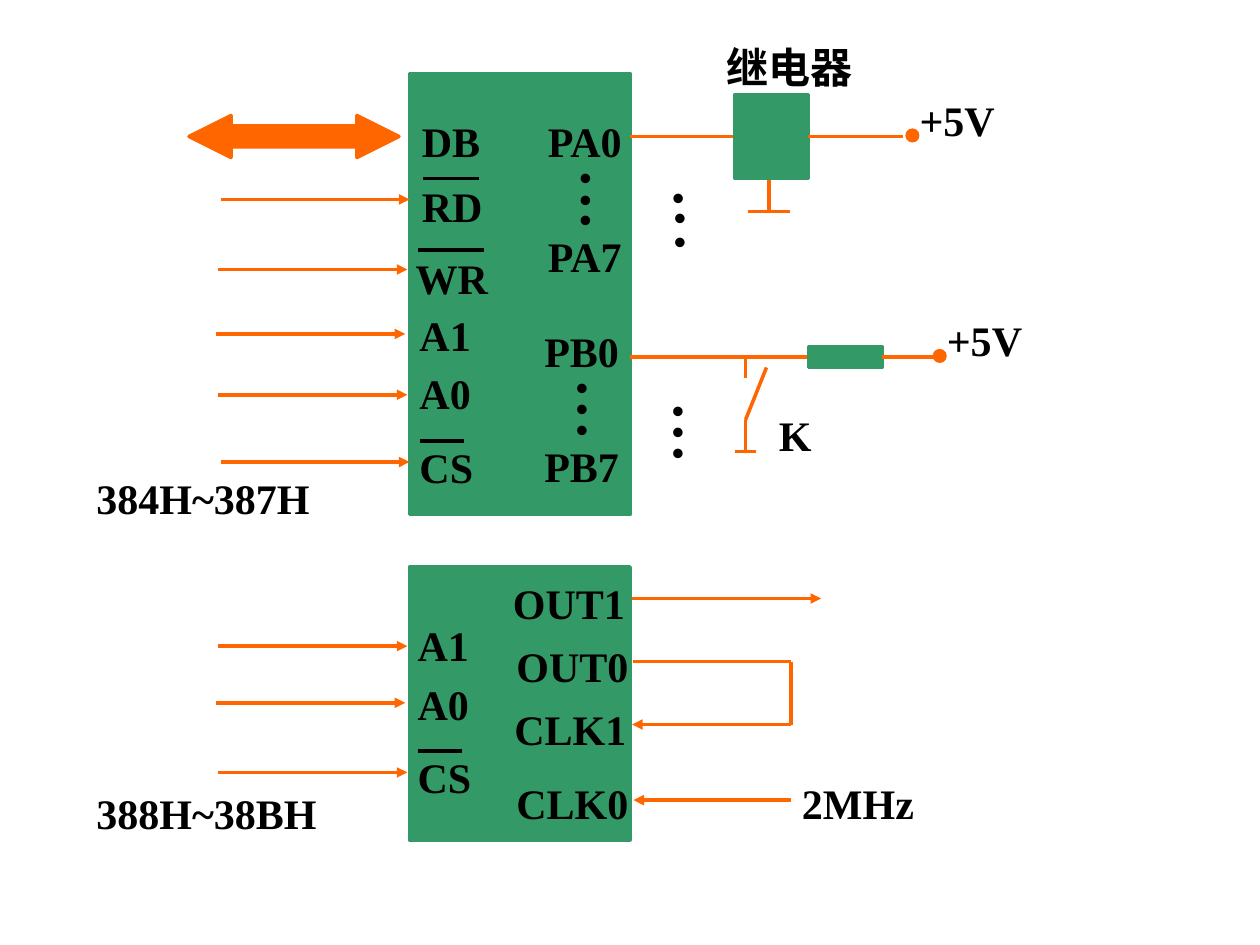
from lxml import etree
from pptx import Presentation
from pptx.dml.color import RGBColor
from pptx.enum.shapes import MSO_CONNECTOR, MSO_SHAPE
from pptx.oxml.ns import qn
from pptx.util import Pt

RECTANGLE = MSO_SHAPE.RECTANGLE
OVAL = MSO_SHAPE.OVAL
DOUBLE_ARROW = MSO_SHAPE.LEFT_RIGHT_ARROW
STRAIGHT = MSO_CONNECTOR.STRAIGHT

GREEN = "339966"
ORANGE = "FF6600"
BLACK = "000000"


def color(value):
    return RGBColor.from_string(value)


class Diagram:
    font_name = "Times New Roman"
    line_width = 2
    label_size = 24
    dot_size = 20

    def __init__(self, slide):
        self.slide = slide

    def block(self, kind, left, top, width, height, fill):
        shape = self.slide.shapes.add_shape(
            kind, Pt(left), Pt(top), Pt(width), Pt(height))
        shape.shadow.inherit = False
        shape.fill.solid()
        shape.fill.fore_color.rgb = color(fill)
        shape.line.color.rgb = color(fill)
        shape.line.width = Pt(self.line_width)
        return shape

    def line(self, x1, y1, x2, y2, stroke=ORANGE, arrow=False):
        connector = self.slide.shapes.add_connector(
            STRAIGHT, Pt(x1), Pt(y1), Pt(x2), Pt(y2))
        connector.line.color.rgb = color(stroke)
        connector.line.width = Pt(self.line_width)
        if arrow:
            outline = connector.line._get_or_add_ln()
            etree.SubElement(outline, qn("a:tailEnd"), type="triangle")
        etree.SubElement(connector._element.spPr, qn("a:effectLst"))

    def label(self, text, left, top, width=66, height=36, size=label_size):
        box = self.slide.shapes.add_textbox(
            Pt(left), Pt(top), Pt(width), Pt(height))
        frame = box.text_frame
        frame.word_wrap = True
        frame.margin_top = Pt(6)
        frame.margin_bottom = Pt(1)
        run = frame.paragraphs[0].add_run()
        run.text = text
        run.font.name = self.font_name
        run.font.size = Pt(size)
        run.font.bold = True
        run.font.color.rgb = color(BLACK)

    def dots(self, positions):
        for left, top in positions:
            self.label("•", left, top, 30, 31, self.dot_size)


def main():
    presentation = Presentation()
    presentation.slide_width = Pt(720)
    presentation.slide_height = Pt(540)
    slide = presentation.slides.add_slide(presentation.slide_layouts[6])
    diagram = Diagram(slide)

    # Parallel port chip and timer chip
    diagram.block(RECTANGLE, 234, 42, 126, 252, GREEN)
    diagram.block(RECTANGLE, 234, 324, 126, 156, GREEN)

    # Pin names
    pins = [
        ("DB", 234, 60), ("RD", 234, 97.2), ("WR", 230.4, 138.2),
        ("A1", 232.6, 170.6), ("A0", 232.6, 203.8), ("CS", 232.6, 246.2),
        ("PA0", 306, 60), ("PA7", 306, 126),
        ("PB0", 304, 180), ("PB7", 304, 246),
        ("A1", 231.6, 348), ("A0", 231.6, 381.6), ("CS", 231.6, 423.6),
    ]
    for text, left, top in pins:
        diagram.label(text, left, top)
    timer_pins = [("OUT1", 286, 324), ("OUT0", 288, 360),
                  ("CLK1", 286.8, 396), ("CLK0", 288, 438)]
    for text, left, top in timer_pins:
        diagram.label(text, left, top, 84)

    # Bars over active-low pins
    for left, y, width in [(242, 102, 32), (238.8, 142.8, 38),
                           (239.8, 252, 25.2), (239, 429.2, 25.2)]:
        diagram.line(left, y, left + width, y, BLACK)

    # Ellipses between first and last port bits
    diagram.dots([(324, 82.8), (324, 95.2), (324, 106.8)])
    diagram.dots([(322, 203), (322, 214.8), (322, 226.8)])
    diagram.dots([(377, 94.4), (378, 106), (378, 119.6)])
    diagram.dots([(376.8, 216), (376.8, 228), (376.8, 240)])

    # Data bus and input signals
    bus = diagram.block(DOUBLE_ARROW, 108, 66, 120, 24, ORANGE)
    bus.adjustments[0] = 0.5
    bus.adjustments[1] = 1
    for left, y in [(126, 114), (124.8, 154), (123.6, 190.8),
                    (124.8, 225.6), (126, 264),
                    (124.8, 369.2), (123.6, 401.6), (124.8, 441.4)]:
        diagram.line(left, y, left + 108, y, arrow=True)
    diagram.label("384H~387H", 48, 264, 150)
    diagram.label("388H~38BH", 48, 444, 150)

    # Relay circuit on PA0
    diagram.line(360, 78, 420, 78)
    diagram.block(RECTANGLE, 420, 54, 42, 48, GREEN)
    diagram.line(439.4, 103, 439.4, 121)
    diagram.line(427.6, 121, 451.4, 121)
    diagram.line(462, 78, 516, 78)
    diagram.block(OVAL, 518.4, 74.4, 6, 6, ORANGE)
    diagram.label("+5V", 518.4, 48)
    diagram.label("继电器", 408, 18, 96)

    # Switch and pull-up resistor on PB0
    diagram.line(360, 204, 462, 204)
    diagram.line(426, 204, 426, 216)
    diagram.line(438, 210, 426, 240)
    diagram.line(426, 240, 426, 258)
    diagram.line(420, 258, 432, 258)
    diagram.block(RECTANGLE, 462, 198, 42, 12, GREEN)
    diagram.line(504, 204, 534, 204)
    diagram.block(OVAL, 534, 200.4, 6, 6, ORANGE)
    diagram.label("+5V", 534, 174)
    diagram.label("K", 438, 228, 42)

    # Timer outputs, cascade and clock
    diagram.line(361.2, 342, 469.2, 342, arrow=True)
    diagram.line(362, 378, 452, 378)
    diagram.line(452, 378, 452, 414)
    diagram.line(452, 414, 361.2, 414, arrow=True)
    diagram.line(452, 457.2, 362, 457.2, arrow=True)
    diagram.label("2MHz", 451.2, 438, 96)

    presentation.save("out.pptx")


if __name__ == "__main__":
    main()
